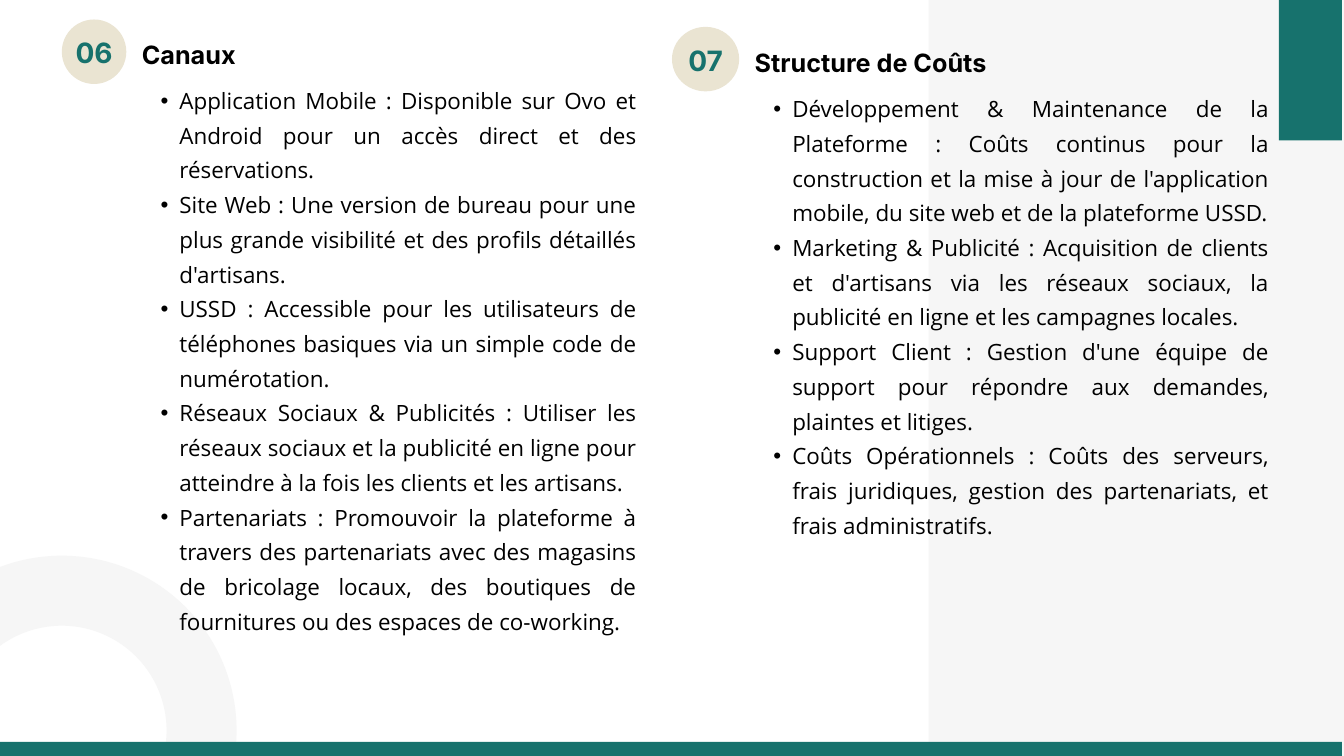
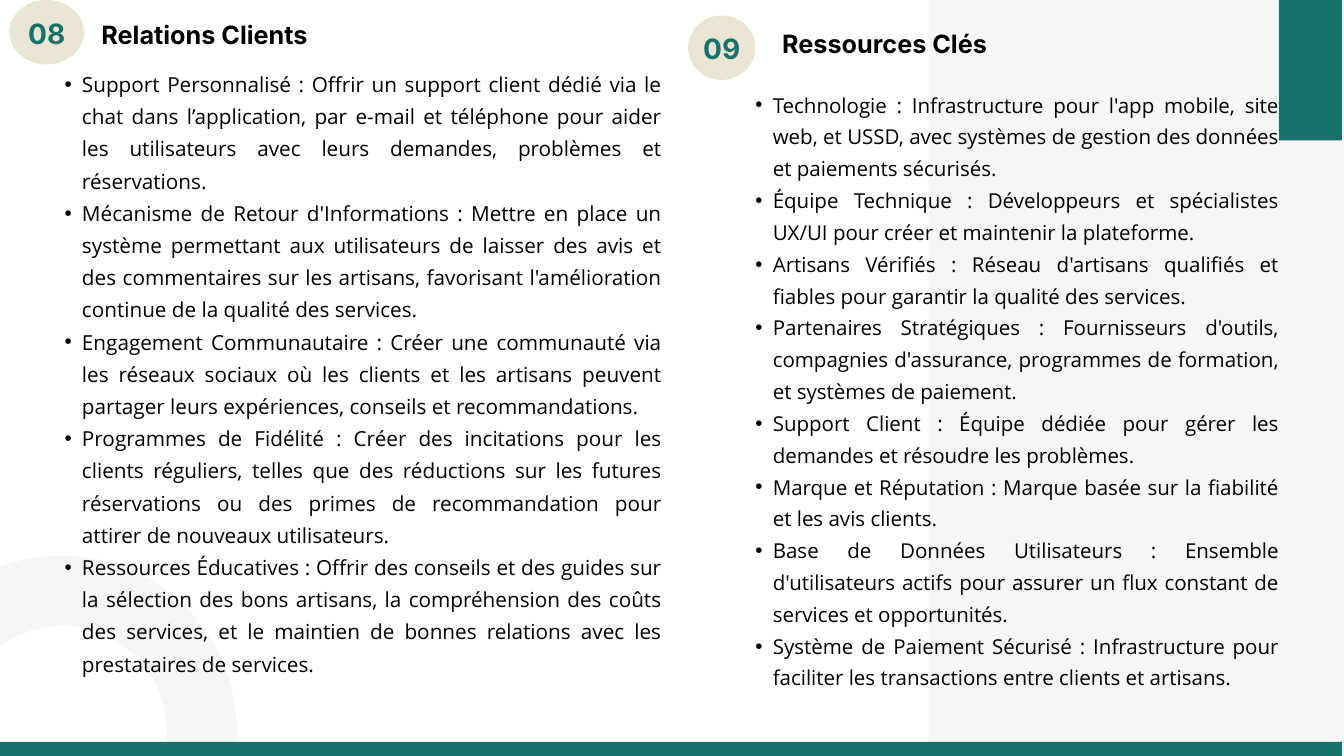
from dataclasses import dataclass

from lxml.etree import SubElement
from pptx import Presentation
from pptx.dml.color import RGBColor
from pptx.enum.shapes import MSO_SHAPE
from pptx.enum.text import MSO_ANCHOR, MSO_AUTO_SIZE, PP_ALIGN
from pptx.oxml.ns import qn
from pptx.slide import Slide
from pptx.text.text import TextFrame, _Paragraph
from pptx.util import Emu, Pt

PX = 9144  # 100 px to the inch
SLIDE_W, SLIDE_H = 2000, 1125
TWO_CONTENT = 3


@dataclass(frozen=True)
class TextStyle:
    font: str
    size: float
    line: float
    color: RGBColor
    align: PP_ALIGN
    bold: bool = False


TEAL = RGBColor(0x17, 0x72, 0x6D)
INK = RGBColor(0, 0, 0)


def list_style(size: float, line: float) -> TextStyle:
    return TextStyle("Open Sans", size, line, INK, PP_ALIGN.JUSTIFY)


@dataclass(frozen=True)
class Theme:
    teal: RGBColor = TEAL
    sand: RGBColor = RGBColor(0xEA, 0xE4, 0xD2)
    mist: RGBColor = RGBColor(0xF6, 0xF6, 0xF6)
    ring_width: float = 75
    number: TextStyle = TextStyle("Inter", 30, 42, TEAL, PP_ALIGN.CENTER, True)
    head: TextStyle = TextStyle("Inter", 27, 37.8, INK, PP_ALIGN.LEFT, True)
    list_large: TextStyle = list_style(24, 37.2)
    list_medium: TextStyle = list_style(22.2, 34.5)
    list_small: TextStyle = list_style(22, 34.1)


THEME = Theme()


@dataclass(frozen=True)
class Box:
    x: int
    y: int
    w: int
    h: int

    def emu(self) -> tuple[Emu, ...]:
        return tuple(Emu(v * PX) for v in (self.x, self.y, self.w, self.h))


@dataclass(frozen=True)
class Section:
    number: str
    title: str
    badge: Box
    title_box: Box
    list_box: Box
    style: TextStyle
    indent: int
    items: tuple[str, ...]


# Shapes
def place(sp, box: Box) -> None:
    sp.left, sp.top, sp.width, sp.height = box.emu()


def add_filled(slide: Slide, kind: MSO_SHAPE, box: Box, color: RGBColor) -> None:
    sp = slide.shapes.add_shape(kind, *box.emu())
    sp.shadow.inherit = False
    sp.fill.solid()
    sp.fill.fore_color.rgb = color
    sp.line.fill.background()


def add_ring(slide: Slide, box: Box) -> None:
    sp = slide.shapes.add_shape(MSO_SHAPE.OVAL, *box.emu())
    sp.shadow.inherit = False
    sp.fill.background()
    sp.line.color.rgb = THEME.mist
    sp.line.width = Pt(THEME.ring_width)


def add_backdrop(slide: Slide) -> None:
    add_filled(slide, MSO_SHAPE.RECTANGLE, Box(1382, 0, 618, SLIDE_H), THEME.mist)
    add_filled(slide, MSO_SHAPE.RECTANGLE, Box(1903, 0, 94, 209), THEME.teal)
    add_ring(slide, Box(-116, 879, 416, 416))
    add_filled(slide, MSO_SHAPE.RECTANGLE, Box(0, 1104, 1997, 21), THEME.teal)


# Text
def setup_frame(tf: TextFrame, margin: int = 0, anchor: MSO_ANCHOR = MSO_ANCHOR.TOP) -> None:
    tf.word_wrap = True
    tf.auto_size = MSO_AUTO_SIZE.NONE
    tf.vertical_anchor = anchor
    tf.margin_left = tf.margin_right = tf.margin_top = tf.margin_bottom = Emu(margin * PX)


def write(p: _Paragraph, text: str, style: TextStyle) -> None:
    p.alignment = style.align
    p.line_spacing = Pt(style.line)
    p.space_before = Pt(0)
    r = p.add_run()
    r.text = text
    r.font.name, r.font.size, r.font.bold = style.font, Pt(style.size), style.bold
    r.font.color.rgb = style.color


def set_bullet(p: _Paragraph, indent: int) -> None:
    pPr = p._p.get_or_add_pPr()
    pPr.set("marL", str(indent * PX))
    pPr.set("indent", str(-indent * PX // 2))
    SubElement(pPr, qn("a:buFont")).set("typeface", "Arial")
    SubElement(pPr, qn("a:buChar")).set("char", "•")


# Section parts
def add_badge(slide: Slide, section: Section) -> None:
    b = section.badge
    add_filled(slide, MSO_SHAPE.OVAL, b, THEME.sand)
    inset = round(b.w * 0.095)
    sp = slide.shapes.add_textbox(*Box(b.x + inset, b.y + 3, b.w - 2 * inset, 84).emu())
    setup_frame(sp.text_frame, 5, MSO_ANCHOR.MIDDLE)
    write(sp.text_frame.paragraphs[0], section.number, THEME.number)


def fill_title(sp, section: Section) -> None:
    place(sp, section.title_box)
    setup_frame(sp.text_frame)
    write(sp.text_frame.paragraphs[0], section.title, THEME.head)


def fill_list(sp, section: Section) -> None:
    place(sp, section.list_box)
    tf = sp.text_frame
    setup_frame(tf)
    for i, item in enumerate(section.items):
        p = tf.add_paragraph() if i else tf.paragraphs[0]
        p.level = 1
        set_bullet(p, section.indent)
        write(p, item, section.style)


def add_slide(prs: Presentation, sections: tuple[Section, Section]) -> None:
    slide = prs.slides.add_slide(prs.slide_layouts[TWO_CONTENT])
    title, *lists = slide.placeholders
    add_backdrop(slide)
    for i, (section, body) in enumerate(zip(sections, lists[:2])):
        add_badge(slide, section)
        head = slide.shapes.add_textbox(*section.title_box.emu()) if i else title
        fill_title(head, section)
        fill_list(body, section)
        # Bring the text in front of the backdrop
        for sp in (head, body):
            slide.shapes._spTree.append(sp._element)


# Content
CHANNELS = Section(
    "06", "Canaux", Box(92, 29, 96, 96), Box(211, 51, 533, 48), Box(211, 118, 736, 913),
    THEME.list_large, 56,
    (
        "Application Mobile : Disponible sur Ovo et Android pour un accès direct et des "
        "réservations.",
        "Site Web : Une version de bureau pour une plus grande visibilité et des profils "
        "détaillés d'artisans.",
        "USSD : Accessible pour les utilisateurs de téléphones basiques via un simple code de "
        "numérotation.",
        "Réseaux Sociaux & Publicités : Utiliser les réseaux sociaux et la publicité en ligne "
        "pour atteindre à la fois les clients et les artisans.",
        "Partenariats : Promouvoir la plateforme à travers des partenariats avec des magasins "
        "de bricolage locaux, des boutiques de fournitures ou des espaces de co-working.",
    ))

COSTS = Section(
    "07", "Structure de Coûts", Box(1000, 40, 100, 96), Box(1123, 63, 764, 48),
    Box(1123, 130, 765, 760), THEME.list_large, 56,
    (
        "Développement & Maintenance de la Plateforme : Coûts continus pour la construction et "
        "la mise à jour de l'application mobile, du site web et de la plateforme USSD.",
        "Marketing & Publicité : Acquisition de clients et d'artisans via les réseaux sociaux, "
        "la publicité en ligne et les campagnes locales.",
        "Support Client : Gestion d'une équipe de support pour répondre aux demandes, plaintes "
        "et litiges.",
        "Coûts Opérationnels : Coûts des serveurs, frais juridiques, gestion des partenariats, "
        "et frais administratifs.",
    ))

RELATIONS = Section(
    "08", "Relations Clients", Box(14, 0, 111, 96), Box(151, 21, 615, 50),
    Box(70, 96, 915, 951), THEME.list_medium, 52,
    (
        "Support Personnalisé : Offrir un support client dédié via le chat dans l’application, "
        "par e-mail et téléphone pour aider les utilisateurs avec leurs demandes, problèmes et "
        "réservations.",
        "Mécanisme de Retour d'Informations : Mettre en place un système permettant aux "
        "utilisateurs de laisser des avis et des commentaires sur les artisans, favorisant "
        "l'amélioration continue de la qualité des services.",
        "Engagement Communautaire : Créer une communauté via les réseaux sociaux où les clients "
        "et les artisans peuvent partager leurs expériences, conseils et recommandations.",
        "Programmes de Fidélité : Créer des incitations pour les clients réguliers, telles que "
        "des réductions sur les futures réservations ou des primes de recommandation pour "
        "attirer de nouveaux utilisateurs.",
        "Ressources Éducatives : Offrir des conseils et des guides sur la sélection des bons "
        "artisans, la compréhension des coûts des services, et le maintien de bonnes relations "
        "avec les prestataires de services.",
    ))

RESOURCES = Section(
    "09", "Ressources Clés", Box(1024, 23, 100, 96), Box(1164, 34, 764, 50),
    Box(1098, 127, 805, 935), THEME.list_small, 52,
    (
        "Technologie : Infrastructure pour l'app mobile, site web, et USSD, avec systèmes de "
        "gestion des données et paiements sécurisés.",
        "Équipe Technique : Développeurs et spécialistes UX/UI pour créer et maintenir la "
        "plateforme.",
        "Artisans Vérifiés : Réseau d'artisans qualifiés et fiables pour garantir la qualité "
        "des services.",
        "Partenaires Stratégiques : Fournisseurs d'outils, compagnies d'assurance, programmes "
        "de formation, et systèmes de paiement.",
        "Support Client : Équipe dédiée pour gérer les demandes et résoudre les problèmes.",
        "Marque et Réputation : Marque basée sur la fiabilité et les avis clients.",
        "Base de Données Utilisateurs : Ensemble d'utilisateurs actifs pour assurer un flux "
        "constant de services et opportunités.",
        "Système de Paiement Sécurisé : Infrastructure pour faciliter les transactions entre "
        "clients et artisans.",
    ))


def main() -> None:
    prs = Presentation()
    prs.slide_width, prs.slide_height = Emu(SLIDE_W * PX), Emu(SLIDE_H * PX)
    for sections in ((CHANNELS, COSTS), (RELATIONS, RESOURCES)):
        add_slide(prs, sections)
    prs.save("out.pptx")


if __name__ == "__main__":
    main()
